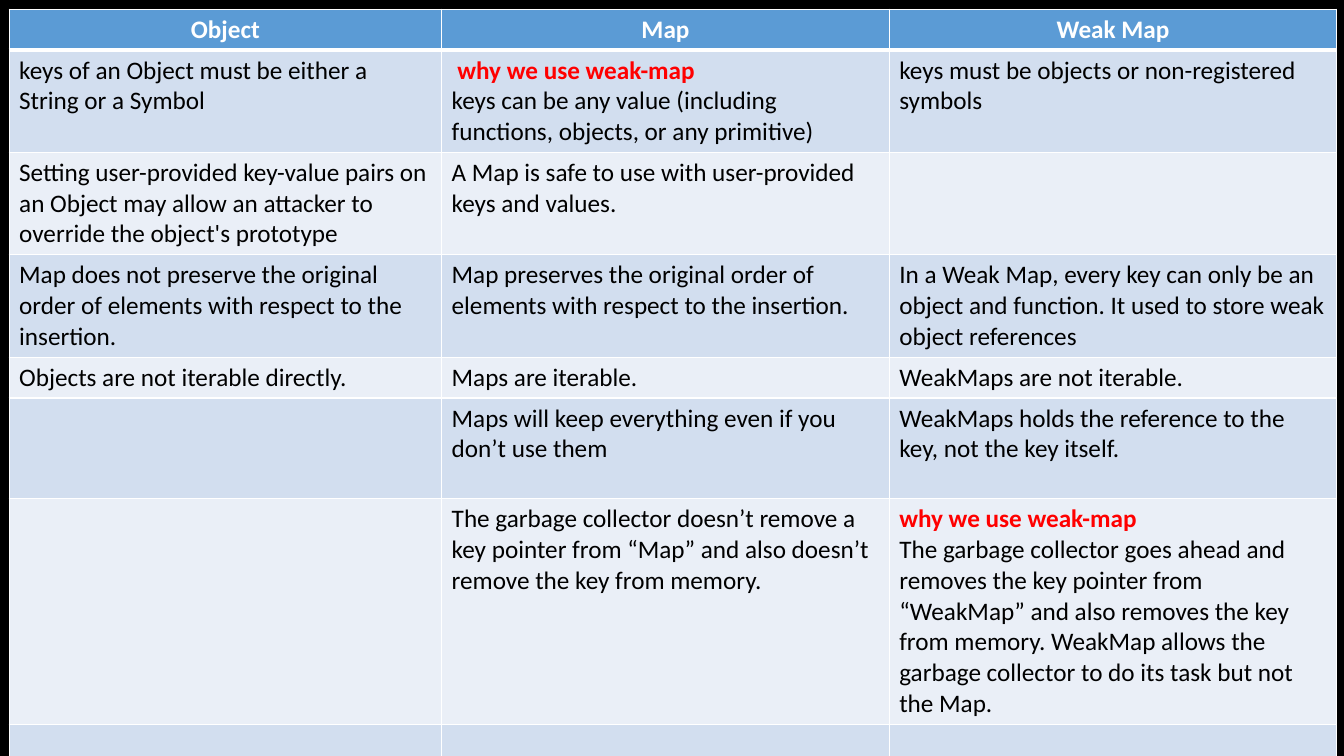
from lxml import etree
from pptx import Presentation
from pptx.dml.color import RGBColor
from pptx.enum.text import PP_ALIGN
from pptx.oxml.ns import qn
from pptx.util import Cm, Pt

CENTER, LEFT = PP_ALIGN.CENTER, PP_ALIGN.LEFT
FONT, SIZE = "Calibri", Pt(18)
BLACK, WHITE, RED = "000000", "FFFFFF", "FF0000"
HEADER_FILL, BAND_FILLS = "5B9BD5", ("EAEFF7", "D2DEEF")
REASON = "why we use weak-map"  # shown bold and red

# Content: one tuple per row, a line break starts a new paragraph
ROWS = [
    ("Object", "Map", "Weak Map"),
    ("keys of an Object must be either a String or a Symbol",
     f" {REASON}\nkeys can be any value (including functions, objects, or any primitive)",
     "keys must be objects or non-registered symbols"),
    ("Setting user-provided key-value pairs on an Object may allow an attacker "
     "to override the object's prototype",
     "A Map is safe to use with user-provided keys and values.",
     ""),
    ("Map does not preserve the original order of elements with respect to the insertion. ",
     "Map preserves the original order of elements with respect to the insertion. ",
     "In a Weak Map, every key can only be an object and function. "
     "It used to store weak object references"),
    ("Objects are not iterable directly.", "Maps are iterable.", "WeakMaps are not iterable."),
    ("",
     "Maps will keep everything even if you don’t use them",
     "WeakMaps holds the reference to the key, not the key itself."),
    ("",
     "The garbage collector doesn’t remove a key pointer from “Map” "
     "and also doesn’t remove the key from memory.",
     f"{REASON}\nThe garbage collector goes ahead and removes the key pointer from “WeakMap” "
     "and also removes the key from memory. WeakMap allows the garbage collector "
     "to do its task but not the Map."),
    ("", "", ""),
]
COLUMN_WIDTHS = [Cm(10.9), Cm(11.28), Cm(11.28)]
ROW_HEIGHTS = [Cm(h) for h in (1.03, 2.54, 2.54, 1.78, 1.03, 2.54, 1.03, 1.03)]
MARGIN = Cm(0.23)


def color(value):
    return RGBColor.from_string(value)


def add_borders(cell, bottom_width):
    properties = cell._tc.get_or_add_tcPr()
    for side in "LRTB":
        width = bottom_width if side == "B" else Pt(1)
        line = etree.SubElement(properties, qn(f"a:ln{side}"), w=str(width))
        fill = etree.SubElement(line, qn("a:solidFill"))
        etree.SubElement(fill, qn("a:srgbClr"), val=WHITE)


def fill_cell(cell, text, is_header, fill):
    add_borders(cell, Pt(3) if is_header else Pt(1))
    cell.fill.solid()
    cell.fill.fore_color.rgb = color(fill)
    cell.text_frame.text = text
    for paragraph in cell.text_frame.paragraphs:
        paragraph.alignment = CENTER if is_header else LEFT
        paragraph.font.size = SIZE
        for run in paragraph.runs:
            is_reason = run.text.strip() == REASON
            run.font.name, run.font.size = FONT, SIZE
            run.font.bold = is_header or is_reason
            run.font.color.rgb = color(WHITE if is_header else RED if is_reason else BLACK)


# Slide with black background
presentation = Presentation()
presentation.slide_width, presentation.slide_height = Cm(33.87), Cm(19.05)
slide = presentation.slides.add_slide(presentation.slide_layouts[6])
slide.background.fill.solid()
slide.background.fill.fore_color.rgb = color(BLACK)

# Comparison table
table = slide.shapes.add_table(len(ROWS), len(COLUMN_WIDTHS), MARGIN, MARGIN,
                               sum(COLUMN_WIDTHS), sum(ROW_HEIGHTS)).table
for column, width in zip(table.columns, COLUMN_WIDTHS):
    column.width = width
for index, (row, height, texts) in enumerate(zip(table.rows, ROW_HEIGHTS, ROWS)):
    row.height = height
    is_header = index == 0
    fill = HEADER_FILL if is_header else BAND_FILLS[index % 2]
    for cell, text in zip(row.cells, texts):
        fill_cell(cell, text, is_header, fill)

presentation.save("out.pptx")
